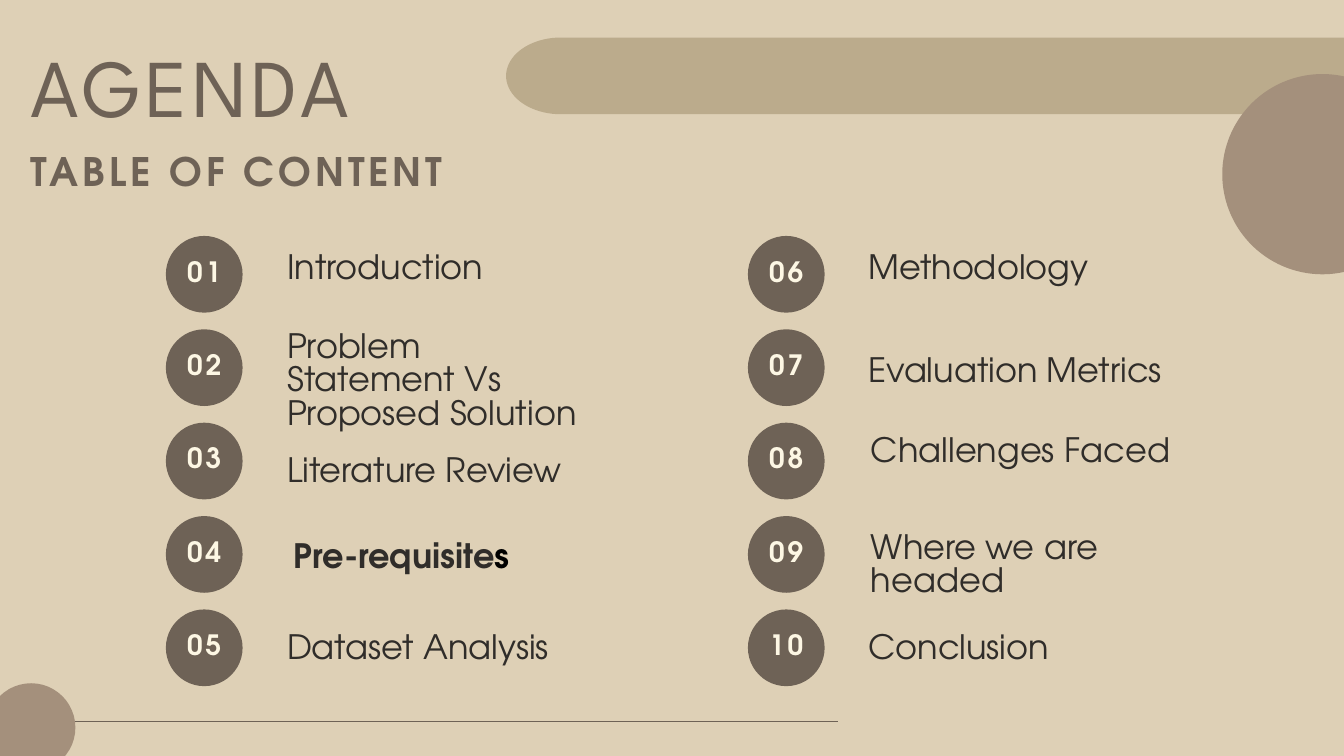
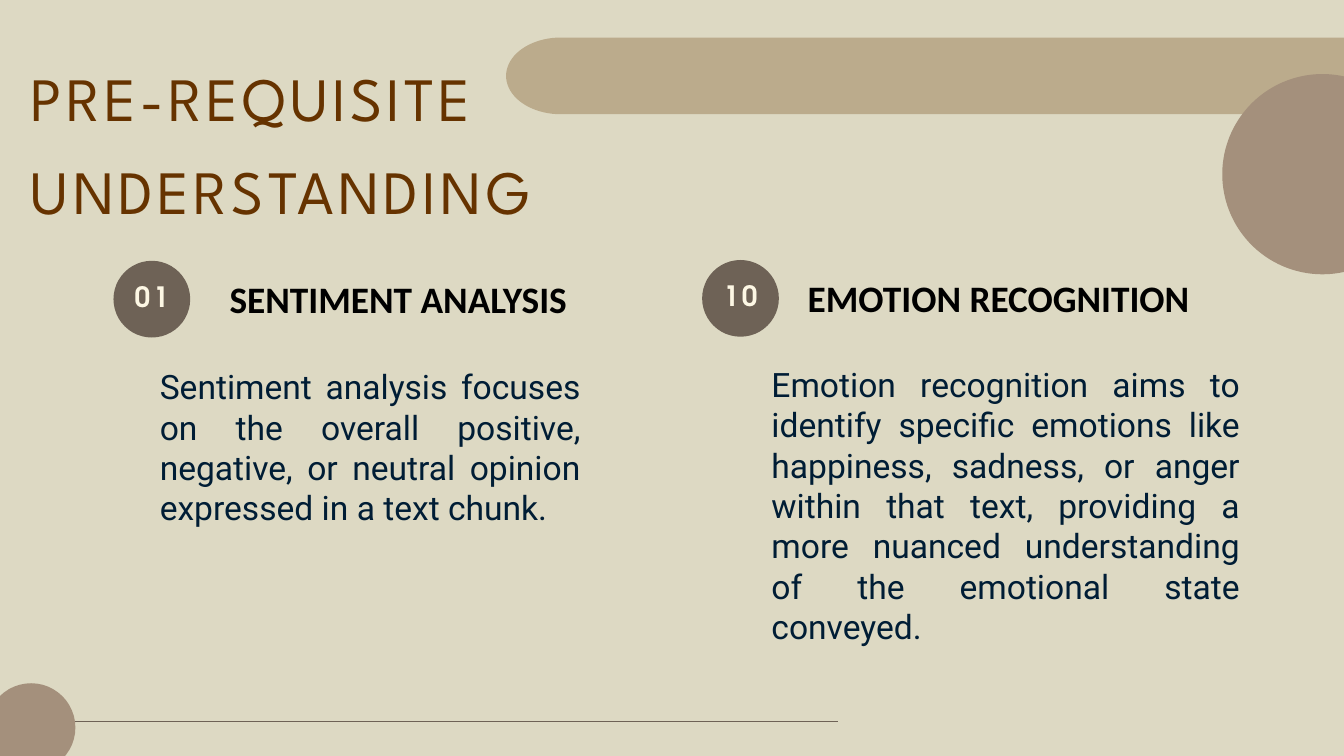
from dataclasses import dataclass
from math import cos, pi, sin

from lxml.etree import SubElement
from pptx import Presentation
from pptx.dml.color import RGBColor
from pptx.enum.shapes import MSO_CONNECTOR, MSO_SHAPE
from pptx.enum.text import MSO_ANCHOR, MSO_AUTO_SIZE, PP_ALIGN
from pptx.oxml.ns import qn
from pptx.util import Cm, Pt


@dataclass(frozen=True)
class Type:
    font: str
    size: float
    color: str
    bold: bool = False
    track: float = 0
    lead: float = 0
    align: PP_ALIGN = PP_ALIGN.LEFT


@dataclass(frozen=True)
class Theme:
    sand: str = "DED0B6"
    sage: str = "DDD9C3"
    band: str = "BBAB8C"
    clay: str = "A4907C"
    dark: str = "6E6256"
    title: Type = Type("League Spartan", 88, "6E6256", track=4.4, lead=99.4)
    topic: Type = Type("League Spartan", 66, "663300", track=4.4, lead=99.4)
    sub: Type = Type("TeX Gyre Adventor", 42, "6E6256", True, 4.2, 58.8)
    badge: Type = Type("TeX Gyre Adventor", 30, "FDF7E4", True, 3, 42, PP_ALIGN.CENTER)
    item: Type = Type("TeX Gyre Adventor", 36, "302D2A", lead=36)
    strong: Type = Type("TeX Gyre Adventor", 36, "302D2A", True)
    tail: Type = Type("TeX Gyre Adventor", 36, "000000", True)
    head: Type = Type("Calibri", 40, "000000", True)
    body: Type = Type("Roboto", 36, "001D35", align=PP_ALIGN.JUSTIFY)


WIDE, HIGH = 50.8, 28.58
DISC = 2.9


class Deck:
    def __init__(self, theme):
        self.theme = theme
        self.prs = Presentation()
        self.prs.slide_width, self.prs.slide_height = Cm(WIDE), Cm(HIGH)
        self.slide = None

    def page(self, color):
        """Start a slide with the shared band, discs and foot line."""
        self.slide = self.prs.slides.add_slide(self.prs.slide_layouts[6])
        fill = self.slide.background.fill
        fill.solid()
        fill.fore_color.rgb = RGBColor.from_string(color)
        self.band(19.13, 1.42, 2.07, 1.45)
        self.disc(46.2, 2.8, 7.57, self.theme.clay)
        self.line(0, 27.28, 31.67)
        self.disc(-0.5, 25.83, 3.35, self.theme.clay)

    def paint(self, shape, color):
        shape.shadow.inherit = False
        shape.fill.solid()
        shape.fill.fore_color.rgb = RGBColor.from_string(color)
        shape.line.fill.background()

    def band(self, left, top, rx, ry, steps=40):
        """Draw a bar with an elliptic left end that runs off to the right."""
        turns = [pi / 2 + pi * i / steps for i in range(steps + 1)]
        arc = [(Cm(left + rx + rx * cos(a)), Cm(top + ry - ry * sin(a))) for a in turns]
        edge = Cm(WIDE)
        pen = self.slide.shapes.build_freeform(edge, Cm(top))
        pen.add_line_segments(arc + [(edge, Cm(top + 2 * ry))])
        self.paint(pen.convert_to_shape(), self.theme.band)

    def disc(self, left, top, size, color):
        oval = self.slide.shapes.add_shape(
            MSO_SHAPE.OVAL, Cm(left), Cm(top), Cm(size), Cm(size))
        self.paint(oval, color)
        return oval

    def line(self, left, top, width):
        rule = self.slide.shapes.add_connector(
            MSO_CONNECTOR.STRAIGHT, Cm(left), Cm(top), Cm(left + width), Cm(top))
        rule.line.color.rgb = RGBColor.from_string(self.theme.dark)
        rule.line.width = Pt(1.5)
        SubElement(rule._element.spPr, qn("a:effectLst"))

    def inset(self, frame, side, top, foot):
        frame.margin_left = frame.margin_right = Cm(side)
        frame.margin_top, frame.margin_bottom = Cm(top), Cm(foot)

    def put(self, para, runs):
        """Fill a paragraph with (text, type) runs; the first type sets its form."""
        lead = runs[0][1]
        para.alignment = lead.align
        if lead.lead:
            para.line_spacing = Pt(lead.lead)
        for text, kind in runs:
            run = para.add_run()
            run.text = text
            font = run.font
            font.name, font.size, font.bold = kind.font, Pt(kind.size), kind.bold
            font.color.rgb = RGBColor.from_string(kind.color)
            if kind.track:
                run._r.get_or_add_rPr().set("spc", str(round(kind.track * 100)))

    def badge(self, left, top, text):
        frame = self.disc(left, top, DISC, self.theme.dark).text_frame
        frame.word_wrap = False
        frame.vertical_anchor = MSO_ANCHOR.MIDDLE
        self.inset(frame, 0, 0, 0.46)
        self.put(frame.paragraphs[0], [(text, self.theme.badge)])

    def text(self, left, top, width, height, *paras, pad=False):
        """Place a text box; each paragraph is a list of runs."""
        box = self.slide.shapes.add_textbox(Cm(left), Cm(top), Cm(width), Cm(height))
        frame = box.text_frame
        frame.word_wrap = True
        frame.auto_size = MSO_AUTO_SIZE.SHAPE_TO_FIT_TEXT
        if not pad:
            self.inset(frame, 0, 0, 0)
        for i, runs in enumerate(paras):
            para = frame.add_paragraph() if i else frame.paragraphs[0]
            self.put(para, runs)


def agenda(deck):
    theme = deck.theme
    deck.page(theme.sand)
    deck.text(1.17, 1.57, 24.23, 3.56, [("AGENDA", theme.title)])
    deck.text(1.17, 5.26, 24.23, 2.21, [("TABLE OF CONTENT", theme.sub)])
    for i in range(10):
        col, row = divmod(i, 5)
        deck.badge(6.27 + 22 * col, 8.92 + 3.53 * row, f"{i + 1:02}")
    items = [
        (10.85, 9.55, 11.71, "Introduction"),
        (10.85, 12.52, 11.71, "Problem Statement Vs Proposed Solution"),
        (10.85, 17.22, 11.71, "Literature Review"),
        (10.85, 23.93, 11.71, "Dataset Analysis"),
        (32.82, 9.55, 11.71, "Methodology"),
        (32.82, 13.46, 11.71, "Evaluation Metrics"),
        (32.92, 16.46, 11.71, "Challenges Faced"),
        (32.92, 20.12, 13, "Where we are headed"),
        (32.82, 23.93, 11.71, "Conclusion"),
    ]
    for left, top, width, name in items:
        deck.text(left, top, width, 1.27, [(name, theme.item)])
    deck.text(10.85, 20.09, 9.68, 1.8,
              [("Pre-requisite", theme.strong), ("s", theme.tail)], pad=True)


def basics(deck):
    theme = deck.theme
    deck.page(theme.sage)
    deck.text(1.17, 1.57, 24.23, 6.88,
              [("PRE-REQUISITE", theme.topic)], [("UNDERSTANDING", theme.topic)])
    deck.badge(4.29, 9.86, "01")
    deck.badge(26.54, 9.83, "10")
    deck.text(8.43, 10.31, 13.77, 1.96, [("SENTIMENT ANALYSIS", theme.head)], pad=True)
    deck.text(30.28, 10.29, 15.24, 1.96, [("EMOTION RECOGNITION", theme.head)], pad=True)
    deck.text(5.79, 13.72, 16.41, 6.4, [(
        "Sentiment analysis focuses on the overall positive, negative, or neutral "
        "opinion expressed in a text chunk.", theme.body)], pad=True)
    deck.text(28.91, 13.64, 18.21, 9.5, [(
        "Emotion recognition aims to identify specific emotions like happiness, "
        "sadness, or anger within that text, providing a more nuanced understanding "
        "of the emotional state conveyed.", theme.body)], pad=True)


def main():
    deck = Deck(Theme())
    agenda(deck)
    basics(deck)
    deck.prs.save("out.pptx")


if __name__ == "__main__":
    main()
